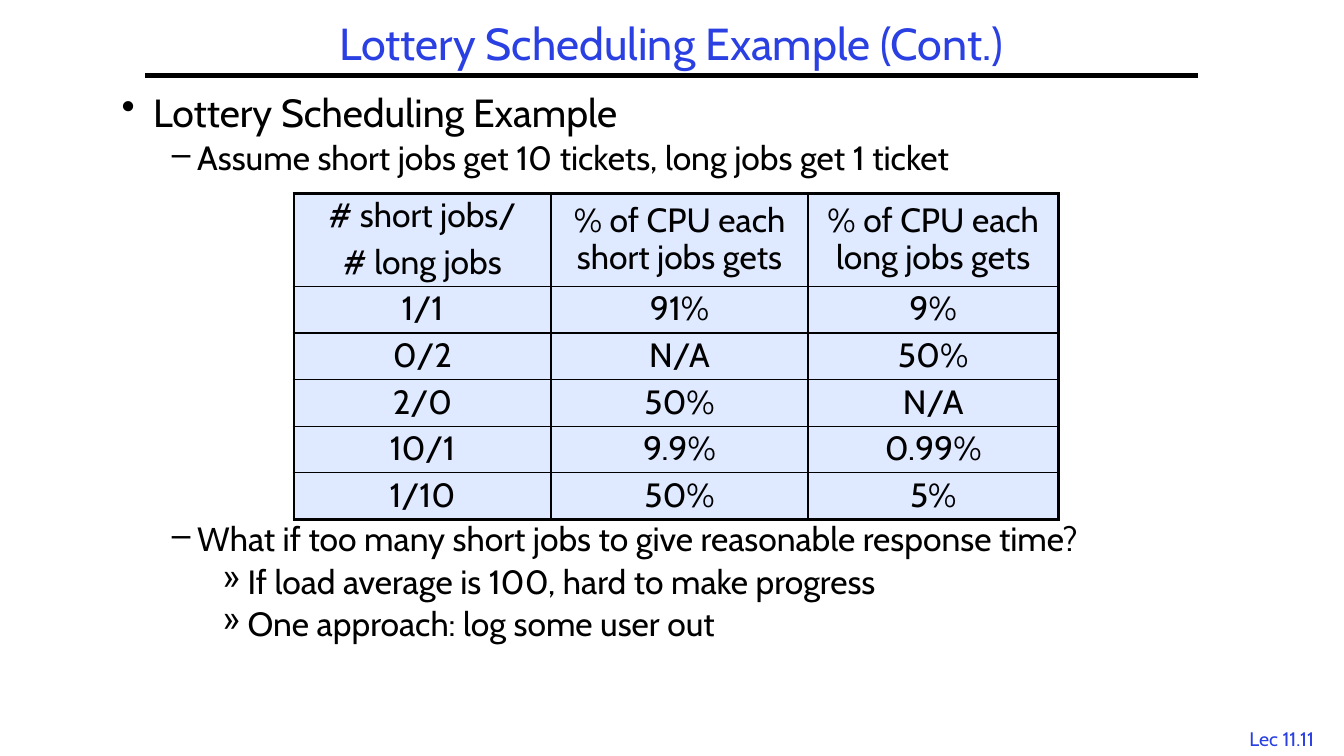
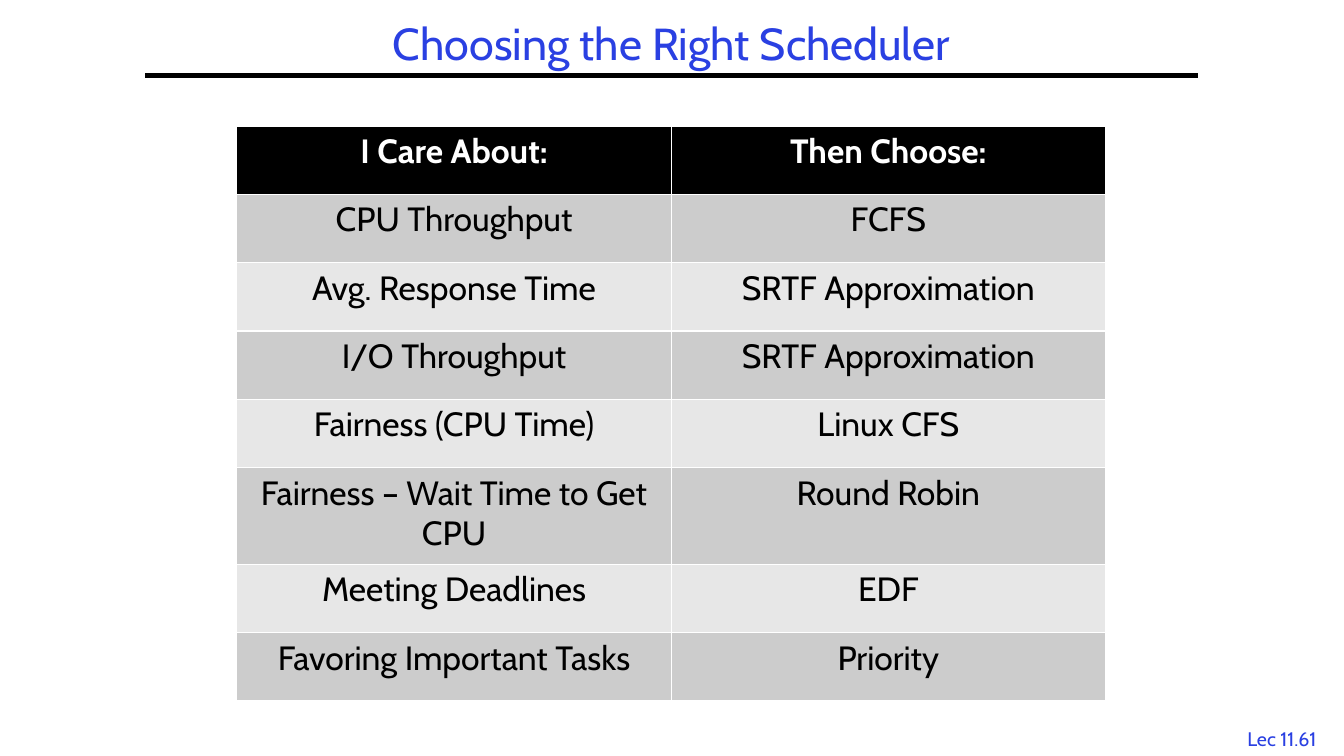
from dataclasses import dataclass
from lxml.etree import SubElement
from pptx import Presentation
from pptx.dml.color import RGBColor
from pptx.enum.text import MSO_ANCHOR, MSO_AUTO_SIZE, PP_ALIGN
from pptx.oxml import parse_xml
from pptx.oxml.ns import nsdecls, qn
from pptx.util import Emu, Inches, Pt


@dataclass(frozen=True)
class Theme:
    font: str = "Cabin"
    blue: str = "2A40E2"
    black: str = "000000"
    white: str = "FFFFFF"
    pale: str = "DFE9FF"
    dark: str = "CCCCCC"
    light: str = "E7E7E7"
    title: int = 32
    lead: int = 28
    body: int = 24
    foot: int = 14


T = Theme()
WIDE, HIGH = Inches(13.33), Inches(7.5)
COLS, ROWS = 160, 90  # layout grid of the slide

# Per level: bullet, text indent and hanging indent in columns, type size
LEVELS = (("•", 3.75, 3.75, T.lead), ("–", 9, 3, T.body), ("»", 15, 3, T.body))


def across(n):
    return Emu(round(WIDE * n / COLS))


def down(n):
    return Emu(round(HIGH * n / ROWS))


def place(box):
    x, y, w, h = box
    return across(x), down(y), across(w), down(h)


def style(para, size, color, bold=False):
    font = para.font
    font.name, font.size, font.bold = T.font, Pt(size), bold
    font.color.rgb = RGBColor.from_string(color)


def frame(deck, title, number):
    """Slide with the shared title, rule and lecture number."""
    slide = deck.slides.add_slide(deck.slide_layouts[5])
    left, top, wide, high = 17.3, 2, 125.3, 7

    # Lecture number
    foot = slide.shapes.add_textbox(*place((146.2, 85.9, 12.8, 4))).text_frame
    foot.word_wrap = False
    foot.auto_size = MSO_AUTO_SIZE.SHAPE_TO_FIT_TEXT
    foot.text = f"Lec {number}"
    foot.paragraphs[0].alignment = PP_ALIGN.CENTER
    style(foot.paragraphs[0], T.foot, T.blue)

    # Rule below the title
    y = down(top + high)
    rule = slide.shapes.add_connector(1, across(left), y, across(left + wide), y)
    rule.line.color.rgb = RGBColor.from_string(T.black)
    rule.line.width = Pt(3)
    SubElement(rule.element.spPr, qn("a:effectLst"))

    # Title
    head = slide.shapes.title
    head.left, head.top, head.width, head.height = place((left, top, wide, high))
    text = head.text_frame
    text.text = title
    text.auto_size = MSO_AUTO_SIZE.NONE
    text.vertical_anchor = MSO_ANCHOR.MIDDLE
    para = text.paragraphs[0]
    para.alignment, para.line_spacing = PP_ALIGN.CENTER, 0.9
    style(para, T.title, T.blue)
    return slide


def bullets(slide, box, items):
    """Bulleted text; each item is level, text and space before."""
    text = slide.shapes.add_textbox(*place(box)).text_frame
    text.word_wrap = True
    for i, (level, words, gap) in enumerate(items):
        para = text.add_paragraph() if i else text.paragraphs[0]
        mark, indent, hang, size = LEVELS[level]
        para.text = words
        para.level = level
        props = para._p.get_or_add_pPr()
        props.set("marL", str(across(indent)))
        props.set("indent", str(-across(hang)))
        SubElement(props, qn("a:buChar")).set("char", mark)
        para.line_spacing = 0.8
        if i:
            para.space_before = Pt(gap)
        style(para, size, T.black)


def border(cell, widths, color):
    """Draw the left, right, top and bottom edges of a cell."""
    props = cell._tc.get_or_add_tcPr()
    for i, (side, width) in enumerate(zip("LRTB", widths)):
        props.insert(i, parse_xml(
            f'<a:ln{side} {nsdecls("a")} w="{Pt(width)}"><a:solidFill>'
            f'<a:srgbClr val="{color}"/></a:solidFill></a:ln{side}>'))


def table(slide, spot, cols, rows, data, fills, inks, edge, rim, anchor, lead, bold):
    """Centred table; fills and inks hold one colour a row."""
    box = (*spot, sum(cols), sum(rows))
    grid = slide.shapes.add_table(len(rows), len(cols), *place(box)).table
    grid.first_row, grid.horz_banding = bold, False
    for col, width in zip(grid.columns, cols):
        col.width = across(width)
    for row, height in zip(grid.rows, rows):
        row.height = down(height)
    for r, line in enumerate(data):
        for c, words in enumerate(line):
            cell = grid.cell(r, c)
            cell.text = words
            cell.vertical_anchor = anchor
            cell.fill.solid()
            cell.fill.fore_color.rgb = RGBColor.from_string(fills[r])
            outer = (c == 0, c == len(cols) - 1, r == 0, r == len(rows) - 1)
            border(cell, [rim if out else 1 for out in outer], edge)
            for i, para in enumerate(cell.text_frame.paragraphs):
                para.alignment, para.line_spacing = PP_ALIGN.CENTER, lead
                if i:
                    para.space_before = Pt(7.2)
                style(para, T.body, inks[r], bold and r == 0)


def lottery(deck):
    slide = frame(deck, "Lottery Scheduling Example (Cont.)", "11.11")
    bullets(slide, (13.3, 11, 136.7, 74), (
        (0, "Lottery Scheduling Example", 0),
        (1, "Assume short jobs get 10 tickets, long jobs get 1 ticket", 7.2),
        # Leaves room for the table
        (1, "What if too many short jobs to give reasonable response time?", 249),
        (2, "If load average is 100, hard to make progress", 7.2),
        (2, "One approach: log some user out", 7.2),
    ))
    data = (
        ("# short jobs/\n# long jobs", "% of CPU each short jobs gets",
         "% of CPU each long jobs gets"),
        ("1/1", "91%", "9%"),
        ("0/2", "N/A", "50%"),
        ("2/0", "50%", "N/A"),
        ("10/1", "9.9%", "0.99%"),
        ("1/10", "50%", "5%"),
    )
    count = len(data)
    table(slide, (35, 23), (30.6, 30.6, 29.8), [11.1] + [5.55] * (count - 1),
          data, [T.pale] * count, [T.black] * count, T.black, 2.25,
          MSO_ANCHOR.MIDDLE, 0.9, False)


def choice(deck):
    slide = frame(deck, "Choosing the Right Scheduler", "11.61")
    data = (
        ("I Care About:", "Then Choose:"),
        ("CPU Throughput", "FCFS"),
        ("Avg. Response Time", "SRTF Approximation"),
        ("I/O Throughput", "SRTF Approximation"),
        ("Fairness (CPU Time)", "Linux CFS"),
        ("Fairness – Wait Time to Get CPU", "Round Robin"),
        ("Meeting Deadlines", "EDF"),
        ("Favoring Important Tasks", "Priority"),
    )
    body = len(data) - 1
    rows = [11.5 if len(line[0]) > 25 else 8.14 for line in data]
    fills = [T.black] + [(T.dark, T.light)[i % 2] for i in range(body)]
    table(slide, (28.2, 15), (51.7, 51.7), rows, data, fills,
          [T.white] + [T.black] * body, T.white, 1, MSO_ANCHOR.TOP, 1.0, True)


def main():
    deck = Presentation()
    deck.slide_width, deck.slide_height = WIDE, HIGH
    lottery(deck)
    choice(deck)
    deck.save("out.pptx")


if __name__ == "__main__":
    main()
